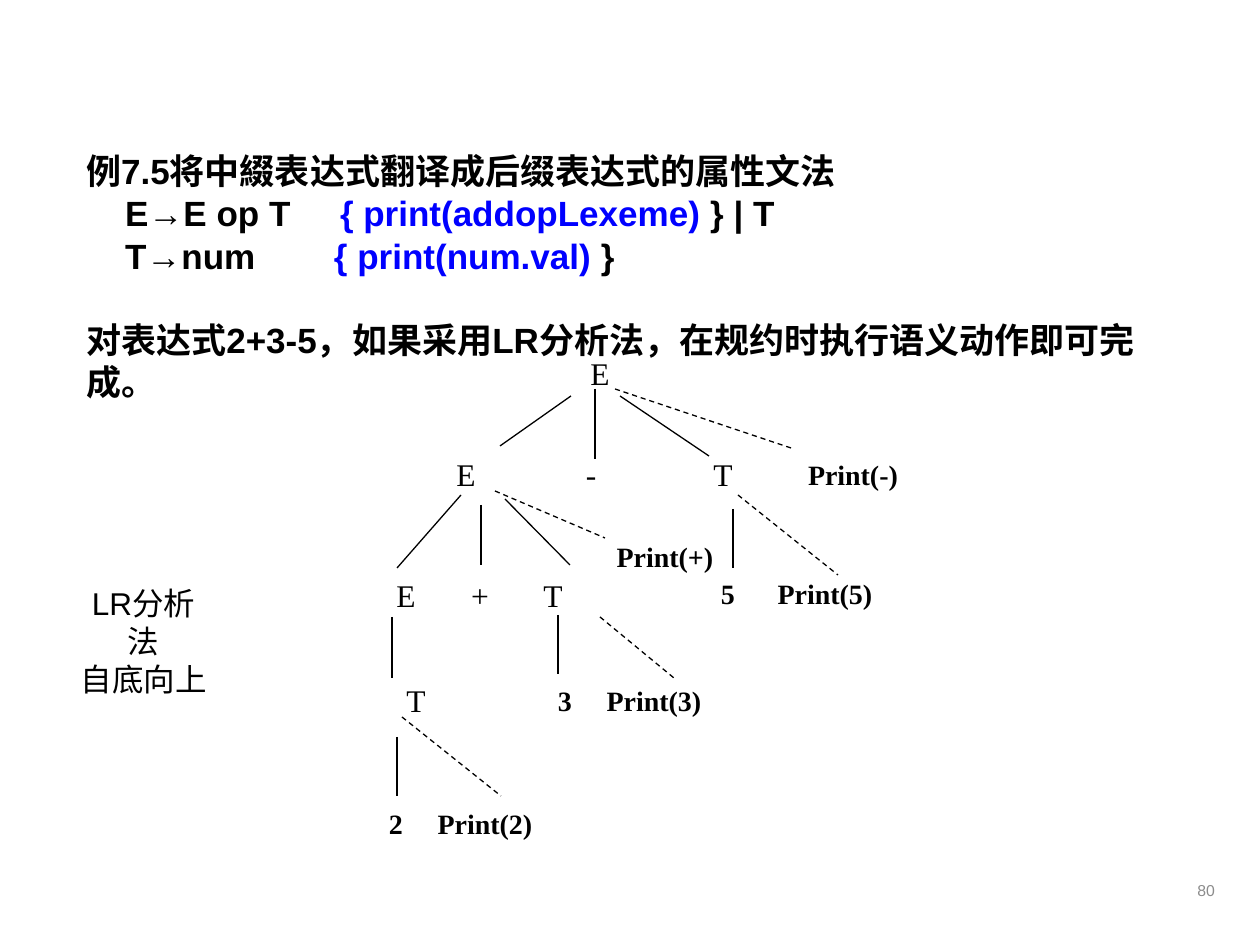
from lxml.etree import SubElement
from pptx import Presentation
from pptx.dml.color import RGBColor
from pptx.enum.dml import MSO_LINE
from pptx.enum.shapes import MSO_CONNECTOR
from pptx.enum.text import MSO_ANCHOR, PP_ALIGN
from pptx.oxml.ns import qn
from pptx.util import Inches, Pt

PIXEL = Inches(1) / 126
BLACK = RGBColor(0x00, 0x00, 0x00)
BLUE = RGBColor(0x00, 0x00, 0xFF)
GRAY = RGBColor(0x8C, 0x8C, 0x8C)
SERIF = "Times New Roman"
SANS = "Arial"

SYMBOLS = [
    ("E", 600, 373),
    ("E", 466, 474), ("-", 591, 474), ("T", 723, 474),
    ("E", 406, 595), ("+", 480, 595), ("T", 553, 595),
    ("T", 416, 700),
]
ACTIONS = [
    ("Print(-)", 853, 474), ("Print(+)", 665, 556),
    ("5", 728, 593), ("Print(5)", 825, 593),
    ("3", 565, 700), ("Print(3)", 654, 700),
    ("2", 396, 823), ("Print(2)", 485, 823),
]
BRANCHES = [
    (571, 396, 500, 446), (595, 389, 595, 459), (620, 396, 709, 456),
    (461, 495, 397, 568), (481, 505, 481, 565), (505, 499, 570, 565),
    (733, 509, 733, 568), (392, 617, 392, 678), (558, 615, 558, 674),
    (397, 737, 397, 796),
]
ACTION_LINKS = [
    (615, 389, 794, 449), (495, 491, 605, 538), (738, 495, 838, 575),
    (600, 617, 674, 678), (402, 717, 501, 796),
]


def px(length):
    """Turn a pixel length into EMU."""
    return round(length * PIXEL)


def add_box(slide, left, top, width, height, margins=(13, 6, 13, 6)):
    """Add a wrapping text box and return its text frame."""
    box = slide.shapes.add_textbox(px(left), px(top), px(width), px(height))
    frame = box.text_frame
    frame.word_wrap = True
    frame.margin_left, frame.margin_top, frame.margin_right, frame.margin_bottom = map(px, margins)
    return frame


def style(para, size, name, color=BLACK, bold=False, align=PP_ALIGN.CENTER):
    """Set the alignment and font of a paragraph."""
    para.alignment = align
    para.font.size = Pt(size)
    para.font.name = name
    para.font.bold = bold
    para.font.color.rgb = color


def add_tabs(para, stops):
    """Give a paragraph left tab stops."""
    tabs = SubElement(para._p.get_or_add_pPr(), qn("a:tabLst"))
    for stop in stops:
        SubElement(tabs, qn("a:tab"), pos=str(px(stop)), algn="l")


def add_grammar(slide):
    """Add the grammar rules and the remark below them."""
    frame = add_box(slide, 73, 134, 1092, 276, (13, 16, 13, 6))
    lines = [
        ([("例7.5将中綴表达式翻译成后缀表达式的属性文法", BLACK)], ()),
        ([("\tE→E op T\t", BLACK), ("{ print(addopLexeme) ", BLUE), ("} | T", BLACK)], (39, 254)),
        ([("\tT→num\t", BLACK), ("{ print(num.val) ", BLUE), ("}", BLACK)], (39, 248)),
        ([("对表达式2+3-5，如果采用LR分析法，在规约时执行语义动作即可完成。", BLACK)], ()),
    ]
    for index, (spans, stops) in enumerate(lines):
        para = frame.paragraphs[0] if index == 0 else frame.add_paragraph()
        para.line_spacing = Pt(24)
        if index == len(lines) - 1:
            para.space_before = Pt(24)
        if stops:
            add_tabs(para, stops)
        style(para, 20, SANS, bold=True, align=PP_ALIGN.LEFT)
        for text, color in spans:
            span = para.add_run()
            span.text = text
            span.font.color.rgb = color


def add_label(slide, text, center_x, center_y, size, bold):
    """Add a tree label centred on a point."""
    width, height = 24 + 12 * len(text), 46
    frame = add_box(slide, center_x - width / 2, center_y - height / 2, width, height, (0, 0, 0, 0))
    frame.vertical_anchor = MSO_ANCHOR.MIDDLE
    para = frame.paragraphs[0]
    para.text = text
    style(para, size, SERIF, bold=bold)


def add_branch(slide, ends, dashed):
    """Add a solid or dashed tree line."""
    branch = slide.shapes.add_connector(MSO_CONNECTOR.STRAIGHT, *map(px, ends))
    branch.line.color.rgb = BLACK
    branch.line.width = Pt(0.75)
    if dashed:
        branch.line.dash_style = MSO_LINE.DASH
    SubElement(branch._element.spPr, qn("a:effectLst"))


def add_method(slide):
    """Add the note naming the parsing method."""
    frame = add_box(slide, 67, 578, 161, 89, (13, 6, 21, 6))
    frame.text = "LR分析法\n自底向上"
    for para in frame.paragraphs:
        style(para, 18, SANS)


def add_page_number(slide):
    """Add the page number at the lower right."""
    frame = add_box(slide, 966, 861, 262, 58)
    frame.vertical_anchor = MSO_ANCHOR.MIDDLE
    frame.text = "80"
    style(frame.paragraphs[0], 9, SANS, GRAY, align=PP_ALIGN.RIGHT)


def main():
    """Build the slide and save the deck."""
    deck = Presentation()
    deck.slide_width, deck.slide_height = Inches(10), Inches(7.5)
    slide = deck.slides.add_slide(deck.slide_layouts[6])
    add_grammar(slide)
    for labels, size, bold in ((SYMBOLS, 18, False), (ACTIONS, 16, True)):
        for text, center_x, center_y in labels:
            add_label(slide, text, center_x, center_y, size, bold)
    for links, dashed in ((BRANCHES, False), (ACTION_LINKS, True)):
        for ends in links:
            add_branch(slide, ends, dashed)
    add_method(slide)
    add_page_number(slide)
    deck.save("out.pptx")


if __name__ == "__main__":
    main()
